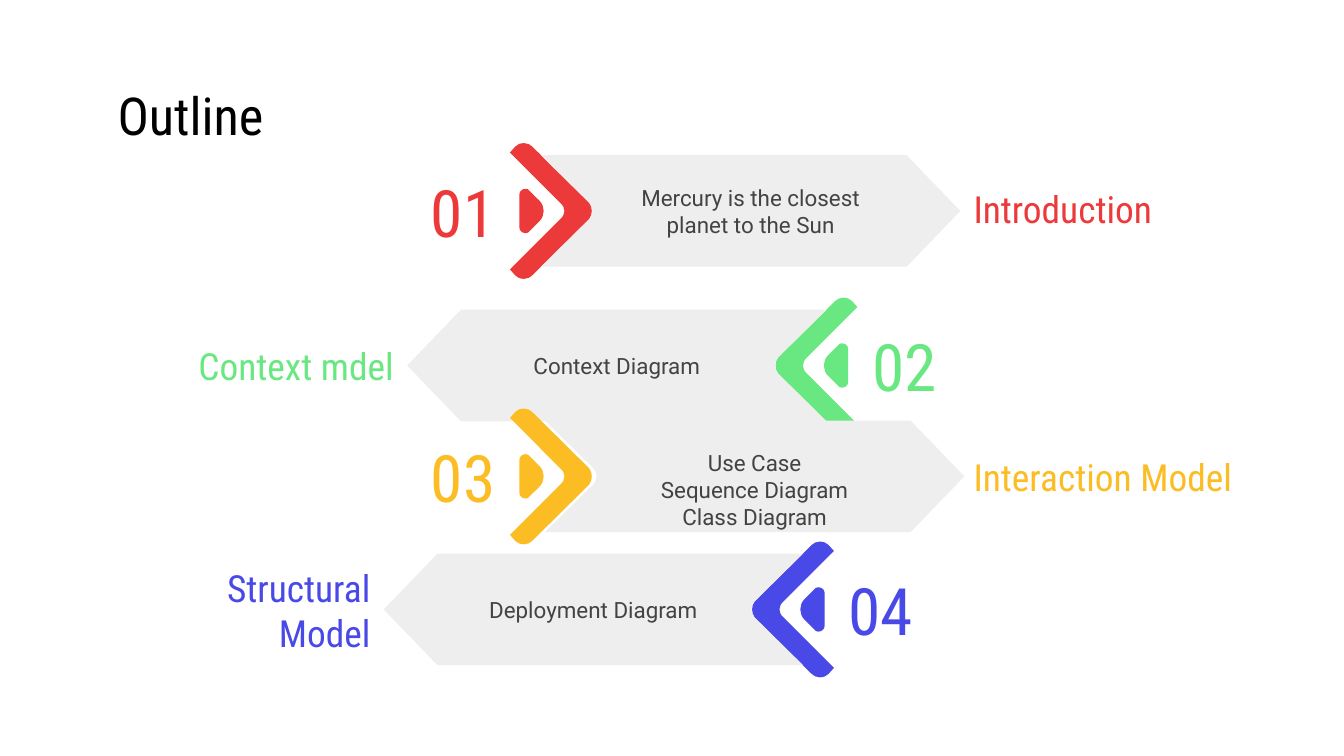
from dataclasses import dataclass

from lxml import etree
from pptx import Presentation
from pptx.dml.color import RGBColor
from pptx.enum.text import MSO_ANCHOR, PP_ALIGN
from pptx.oxml.ns import qn

MIDDLE = MSO_ANCHOR.MIDDLE
LEFT, CENTER, RIGHT = PP_ALIGN.LEFT, PP_ALIGN.CENTER, PP_ALIGN.RIGHT

PX = 914400 // 200


@dataclass(frozen=True)
class Theme:
    head: str = "Roboto Condensed"
    body: str = "Roboto"
    black: str = "000000"
    ink: str = "434343"
    bar: str = "EEEEEE"
    red: str = "EC3A3B"
    green: str = "69E781"
    gold: str = "FCBD24"
    blue: str = "4949E7"
    title: int = 28
    number: int = 35
    label: int = 20
    note: int = 12


@dataclass(frozen=True)
class Form:
    half: tuple
    fore: tuple
    back: tuple = ()


THEME = Theme()

CHEVRON = Form(
    ((-48, -12), (-123, -87), (-115, -96), (-112, -99, -108, -101, -102, -101),
     (-97, -101, -93, -99, -90, -96), (-5, -12)),
    ((0, -5, 0, 5, -5, 12),),
    ((-40, 5, -40, -5, -48, -12),))
WEDGE = Form(
    ((-109, -25), (-109, -29, -105, -33, -100, -33),
     (-97, -33, -95, -32, -94, -30), (-79, -15)),
    ((-71, -7, -71, 7, -79, 15),))
BAR = Form(
    ((0, 0), (0, -4, -2, -8, -5, -12), (-77, -83), (467, -83)),
    ((547, 0), (467, 83)))


@dataclass(frozen=True)
class Row:
    number: str
    label: str
    lines: tuple
    color: str
    side: int
    tip: int
    mid: int
    width: int
    shift: int = 0
    drop: int = 0
    insets: tuple = (20, 20)


ROWS = [
    Row("02", "Context mdel", ("Context Diagram",), THEME.green, -1, 1153, 544, 416),
    Row("03", "Interaction Model", ("Use Case", "Sequence Diagram", "Class Diagram"),
        THEME.gold, 1, 882, 709, 444, shift=6, insets=(40, 0)),
    Row("04", "Structural Model", ("Deployment Diagram",), THEME.blue, -1, 1118, 907, 396,
        drop=1),
    Row("01", "Introduction", ("Mercury is the closest planet to the Sun",),
        THEME.red, 1, 882, 314, 344, drop=-4),
]


def pairs(seg):
    return list(zip(seg[::2], seg[1::2]))


def outline(form):
    half = [pairs(seg) for seg in form.half]
    segs = half + [pairs(seg) for seg in form.fore]
    for prev, seg in reversed(list(zip(half, half[1:]))):
        turn = seg[-2::-1] + prev[-1:]
        segs.append([(x, -y) for x, y in turn])
    return segs + [pairs(seg) for seg in form.back]


def trace(shape, segs, left, top):
    track = shape.element.find(".//" + qn("a:path"))
    for node in list(track):
        track.remove(node)
    for i, seg in enumerate(segs):
        tag = "a:moveTo" if i == 0 else "a:lnTo" if len(seg) == 1 else "a:cubicBezTo"
        step = etree.SubElement(track, qn(tag))
        for x, y in seg:
            etree.SubElement(step, qn("a:pt"), x=str(x - left), y=str(y - top))
    etree.SubElement(track, qn("a:close"))


def write(shape, lines, size, font, color, align, insets=(20, 20), pad=20):
    frame = shape.text_frame
    frame.word_wrap = True
    frame.vertical_anchor = MIDDLE
    frame.margin_left = frame.margin_right = pad * PX
    frame.margin_top, frame.margin_bottom = (n * PX for n in insets)
    frame.text = "\n".join(lines)
    for para in frame.paragraphs:
        para.alignment = align
        para.font.size = size * 12700
        para.font.name = font
        para.font.color.rgb = RGBColor.from_string(color)


def draw(group, row, form, color, shift=0):
    segs = [[((row.tip + row.side * (x + shift)) * PX, (row.mid + y) * PX)
             for x, y in seg] for seg in outline(form)]
    xs, ys = zip(*(pt for seg in segs for pt in seg))
    left, top, right, base = min(xs), min(ys), max(xs), max(ys)
    pen = group.shapes.build_freeform(left, top, scale=1.0)
    pen.add_line_segments([(right, top), (right, base), (left, base)], close=True)
    shape = pen.convert_to_shape()
    trace(shape, segs, left, top)
    shape.shadow.inherit = False
    shape.fill.solid()
    shape.fill.fore_color.rgb = RGBColor.from_string(color)
    shape.line.fill.background()
    return shape


def add_text(group, row, near, width, height, text, size, align, drop=0):
    start = row.tip + row.side * near
    left = start if row.side > 0 else start - width
    top = row.mid + drop - height // 2
    box = group.shapes.add_textbox(left * PX, top * PX, width * PX, height * PX)
    write(box, [text], size, THEME.head, row.color, align)


def add_row(slide, row):
    inner, outer = (RIGHT, LEFT) if row.side > 0 else (LEFT, RIGHT)
    group = slide.shapes.add_group_shape()
    add_text(group, row, -297, 172, 106, row.number, THEME.number, inner)
    draw(group, row, CHEVRON, row.color)
    draw(group, row, WEDGE, row.color)
    bar = draw(group, row, BAR, THEME.bar, row.shift)
    write(bar, row.lines, THEME.note, THEME.body, THEME.ink, CENTER, row.insets, 120)
    add_text(group, row, 547, row.width, 94, row.label, THEME.label, outer, row.drop)


def add_title(slide, text):
    title = slide.shapes.title
    title.left, title.top, title.width, title.height = (
        n * PX for n in (155, 118, 1690, 106))
    write(title, [text], THEME.title, THEME.head, THEME.black, LEFT)


def main():
    deck = Presentation()
    deck.slide_width, deck.slide_height = 2000 * PX, 1125 * PX
    slide = deck.slides.add_slide(deck.slide_layouts[5])
    add_title(slide, "Outline")
    for row in ROWS:
        add_row(slide, row)
    deck.save("out.pptx")


if __name__ == "__main__":
    main()
